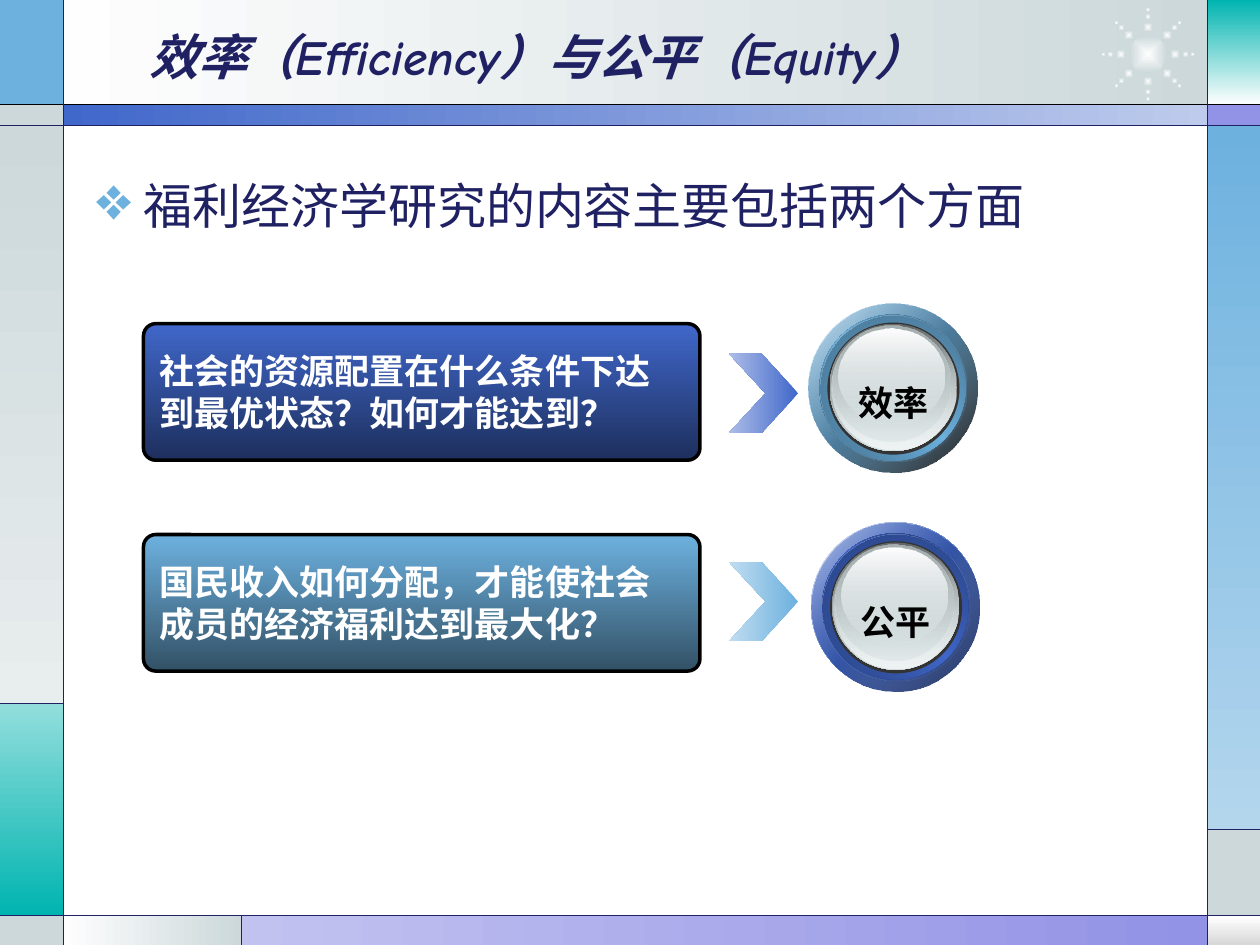
from math import cos, pi, sin

from lxml import etree
from pptx import Presentation
from pptx.dml.color import RGBColor
from pptx.enum import shapes, text
from pptx.oxml.ns import qn
from pptx.util import Pt

BLACK = RGBColor(0, 0, 0)
WHITE = RGBColor(0xFF, 0xFF, 0xFF)
NAVY = RGBColor(0x1F, 0x21, 0x63)
BLUE = RGBColor(0x40, 0x67, 0xCA)
DARK_BLUE = RGBColor(0x1D, 0x2F, 0x5D)
BLUE_EDGE = RGBColor(0x22, 0x37, 0x6C)
BLUE_SHADE = RGBColor(0x28, 0x41, 0x7F)
PALE_BLUE = RGBColor(0xBE, 0xCB, 0xEC)
SOFT_BLUE = RGBColor(0xAD, 0xBD, 0xE7)
SKY = RGBColor(0x6D, 0xB1, 0xDF)
DARK_SKY = RGBColor(0x32, 0x51, 0x66)
SKY_EDGE = RGBColor(0x3A, 0x5F, 0x78)
SKY_SHADE = RGBColor(0x44, 0x70, 0x8D)
PALE_SKY = RGBColor(0xB3, 0xD6, 0xED)
SOFT_SKY = RGBColor(0xC0, 0xDD, 0xF0)
TEAL = RGBColor(0x00, 0xB4, 0xB0)
PALE_TEAL = RGBColor(0x92, 0xDE, 0xDC)
LILAC = RGBColor(0x92, 0x92, 0xE6)
PALE_LILAC = RGBColor(0xC2, 0xC2, 0xF0)
MIST = RGBColor(0xCC, 0xD8, 0xDA)
PALE_MIST = RGBColor(0xE8, 0xED, 0xEE)
NEAR_WHITE = RGBColor(0xFE, 0xFE, 0xFE)
SILVER = RGBColor(0xD7, 0xD7, 0xD7)
CHARCOAL = RGBColor(0x33, 0x33, 0x33)
STEEL = RGBColor(0x62, 0x67, 0x68)
GREY = RGBColor(0xA8, 0xB1, 0xB2)
GLASS = RGBColor(0xD6, 0xE1, 0xE2)
PALE_GLASS = RGBColor(0xEF, 0xF3, 0xF3)

CJK = "Noto Sans CJK SC"
RECT = shapes.MSO_SHAPE.RECTANGLE
OVAL = shapes.MSO_SHAPE.OVAL
ROUNDED = shapes.MSO_SHAPE.ROUNDED_RECTANGLE


def paint(sp, stops, angle=None):
    """Fill with one colour, or a gradient of (colour[, alpha %]) stops; no angle means from the centre."""
    sp.shadow.inherit = False
    sp.line.fill.background()
    if isinstance(stops, RGBColor):
        sp.fill.solid()
        sp.fill.fore_color.rgb = stops
        return
    sp.fill.background()
    grad = etree.Element(qn("a:gradFill"), rotWithShape="1")
    gs_list = etree.SubElement(grad, qn("a:gsLst"))
    for i, stop in enumerate(stops):
        color, alpha = (stop, 100) if isinstance(stop, RGBColor) else stop
        gs = etree.SubElement(gs_list, qn("a:gs"), pos=str(100000 * i // (len(stops) - 1)))
        clr = etree.SubElement(gs, qn("a:srgbClr"), val=str(color))
        if alpha < 100:
            etree.SubElement(clr, qn("a:alpha"), val=str(alpha * 1000))
    if angle is None:
        center = etree.SubElement(grad, qn("a:path"), {"path": "rect"})
        etree.SubElement(center, qn("a:fillToRect"), l="50000", t="50000", r="50000", b="50000")
    else:
        etree.SubElement(grad, qn("a:lin"), ang=str(angle * 60000), scaled="0")
    sp_pr = sp._element.spPr
    sp_pr.replace(sp_pr.find(qn("a:noFill")), grad)


def add_part(parent, kind, box, stops, angle=None):
    sp = parent.shapes.add_shape(kind, *map(Pt, box))
    paint(sp, stops, angle)
    return sp


def add_run(p, words, size, color, bold=False, italic=False, font=CJK):
    r = p.add_run()
    r.text = words
    f = r.font
    f.name, f.size, f.bold, f.italic = font, Pt(size), bold, italic
    f.color.rgb = color
    etree.SubElement(r._r.get_or_add_rPr(), qn("a:ea"), typeface=CJK)


def add_frame(slide, width, height):
    left, right, top, band, bottom = 36.25, 690, 59.75, 71.75, 523.25
    left_split, right_split, foot_split = 402, 474, 138
    panels = [
        (left, 0, right, top, (MIST, NEAR_WHITE), 180),
        (0, 0, left, top, SKY, None),
        (0, top, left, band, MIST, None),
        (0, band, left, left_split, (MIST, PALE_MIST), 90),
        (0, left_split, left, bottom, (PALE_TEAL, TEAL), 90),
        (0, bottom, left, height, MIST, None),
        (left, bottom, foot_split, height, (MIST, NEAR_WHITE), 180),
        (foot_split, bottom, right, height, (LILAC, PALE_LILAC), 180),
        (right, bottom, width, height, (WHITE, SILVER), 90),
        (right, right_split, width, bottom, MIST, None),
        (right, band, width, right_split, (SKY, PALE_SKY), 90),
        (right, top, width, band, LILAC, None),
        (right, 0, width, top, (TEAL, NEAR_WHITE), 90),
        (left, top, right, band, (PALE_BLUE, BLUE), 180),
    ]
    for x1, y1, x2, y2, stops, angle in panels:
        add_part(slide, RECT, (x1, y1, x2 - x1, y2 - y1), stops, angle)
    add_star(slide, (629, 3, 54, 56))
    rules = [
        (0, top, width, top), (0, band, width, band), (0, bottom, width, bottom),
        (left, 0, left, height), (right, 0, right, height),
        (0, left_split, left, left_split), (foot_split, bottom, foot_split, height),
        (right, right_split, width, right_split),
    ]
    for ends in rules:
        line = slide.shapes.add_connector(shapes.MSO_CONNECTOR.STRAIGHT, *map(Pt, ends))
        line.line.color.rgb = BLACK if ends == rules[0] else NAVY
        line.line.width = Pt(0.75)
        etree.SubElement(line._element.spPr, qn("a:effectLst"))


def add_star(slide, box):
    """A glowing core with eight arms of three shrinking beads."""
    x, y, w, h = box
    cx, cy = x + w / 2, y + h / 2
    star = slide.shapes.add_group_shape()
    dots = [(0, 0, 21.6)]
    for arm in range(8):
        for radius, size in ((15.5, 5.4), (21.5, 3.4), (25.5, 2.5)):
            dots.append((radius * cos(arm * pi / 4), radius * sin(arm * pi / 4), size))
    for dx, dy, size in dots:
        add_part(star, OVAL, (cx + dx - size / 2, cy + dy - size / 2, size, size), (NEAR_WHITE, MIST))


def add_title(slide, box):
    title = slide.shapes.title
    title.left, title.top, title.width, title.height = map(Pt, box)
    tf = title.text_frame
    tf.auto_size = text.MSO_AUTO_SIZE.NONE
    tf.vertical_anchor = text.MSO_ANCHOR.MIDDLE
    p = tf.paragraphs[0]
    p.alignment = text.PP_ALIGN.LEFT
    for words in ("效率（", "Efficiency", "）与公平（", "Equity", "）"):
        add_run(p, words, 28, NAVY, True, True, "Comic Neue" if words.isascii() else CJK)
    slide.shapes._spTree.append(title._element)


def add_body(slide, box):
    tf = slide.shapes.add_textbox(*map(Pt, box)).text_frame
    tf.word_wrap = True
    p = tf.paragraphs[0]
    p_pr = p._p.get_or_add_pPr()
    p_pr.set("marL", str(Pt(27)))
    p_pr.set("indent", str(Pt(-27)))
    bullet_color = etree.SubElement(p_pr, qn("a:buClr"))
    etree.SubElement(bullet_color, qn("a:srgbClr"), val=str(SKY))
    etree.SubElement(p_pr, qn("a:buSzPct"), val="125000")
    etree.SubElement(p_pr, qn("a:buChar"), char="❖")
    add_run(p, "福利经济学研究的内容主要包括两个方面", 28, NAVY)


def add_question(slide, box, words, stops):
    sp = add_part(slide, ROUNDED, box, stops, 90)
    sp.adjustments[0] = 0.09
    sp.line.color.rgb = BLACK
    sp.line.width = Pt(2)
    tf = sp.text_frame
    tf.word_wrap = True
    tf.vertical_anchor = text.MSO_ANCHOR.MIDDLE
    p = tf.paragraphs[0]
    p.alignment = text.PP_ALIGN.LEFT
    add_run(p, words, 20, WHITE, True, font="Arial")


def add_chevron(slide, box, stops):
    x, y, w, h = box
    corners = [(0, 0), (0.47, 0), (1, 0.5), (0.47, 1), (0, 1), (0.53, 0.5)]
    points = [(Pt(x + w * fx), Pt(y + h * fy)) for fx, fy in corners]
    builder = slide.shapes.build_freeform(*points[0])
    builder.add_line_segments(points[1:], close=True)
    paint(builder.convert_to_shape(), stops, 180)


def add_medallion(slide, box, label, color, edge, shade, corner):
    x, y, size, _ = box
    group = slide.shapes.add_group_shape()
    layers = [
        (0, 0, size, size, (NEAR_WHITE, color, NEAR_WHITE), 225),
        (0, 0, size, size, (corner, (color, 32)), 225),
        (6.3, 6.3, 83.5, 83.5, (edge, color, edge), 135),
        (6.7, 6.7, 83.5, 83.5, ((color, 0), shade), 225),
        (10.8, 10.8, 75.5, 75.5, CHARCOAL, None),
        (12, 11.5, 72.7, 72.7, (STEEL, GLASS), 90),
        (13, 12, 71.3, 71.3, ((GLASS, 0), PALE_GLASS), 90),
        (13.7, 12.7, 67.7, 66.2, (GREY, (GLASS, 48)), 90),
        (17.3, 14.4, 60.5, 54, (NEAR_WHITE, (GLASS, 38)), 90),
    ]
    for dx, dy, w, h, stops, angle in layers:
        add_part(group, OVAL, (x + dx, y + dy, w, h), stops, angle)
    tb = group.shapes.add_textbox(Pt(x + 21.5), Pt(y + 41), Pt(54), Pt(31.5))
    tf = tb.text_frame
    tf.word_wrap = False
    tf.margin_left = tf.margin_right = 0
    p = tf.paragraphs[0]
    p.alignment = text.PP_ALIGN.CENTER
    add_run(p, label, 20, BLACK, True, font="Arial")


def main():
    prs = Presentation()
    prs.slide_width, prs.slide_height = Pt(720), Pt(540)
    slide = prs.slides.add_slide(prs.slide_layouts[5])
    add_frame(slide, 720, 540)
    add_title(slide, (78, 9.5, 528, 44.5))
    add_body(slide, (48, 96.5, 631.5, 387))

    add_question(slide, (82, 185, 318, 78), "社会的资源配置在什么条件下达到最优状态？如何才能达到？", (BLUE, DARK_BLUE))
    add_chevron(slide, (416.5, 202, 39.5, 45.5), (BLUE, SOFT_BLUE))
    add_medallion(slide, (462, 173.5, 96.5, 96.5), "效率", SKY, SKY_EDGE, SKY_SHADE, (BLACK, 90))

    add_question(slide, (82, 305.5, 318, 78), "国民收入如何分配，才能使社会成员的经济福利达到最大化？", (SKY, DARK_SKY))
    add_chevron(slide, (416.5, 321, 39.5, 45.5), (SKY, SOFT_SKY))
    add_medallion(slide, (463.5, 298.5, 96.5, 96.5), "公平", BLUE, BLUE_EDGE, BLUE_SHADE, DARK_BLUE)
    prs.save("out.pptx")


if __name__ == "__main__":
    main()
